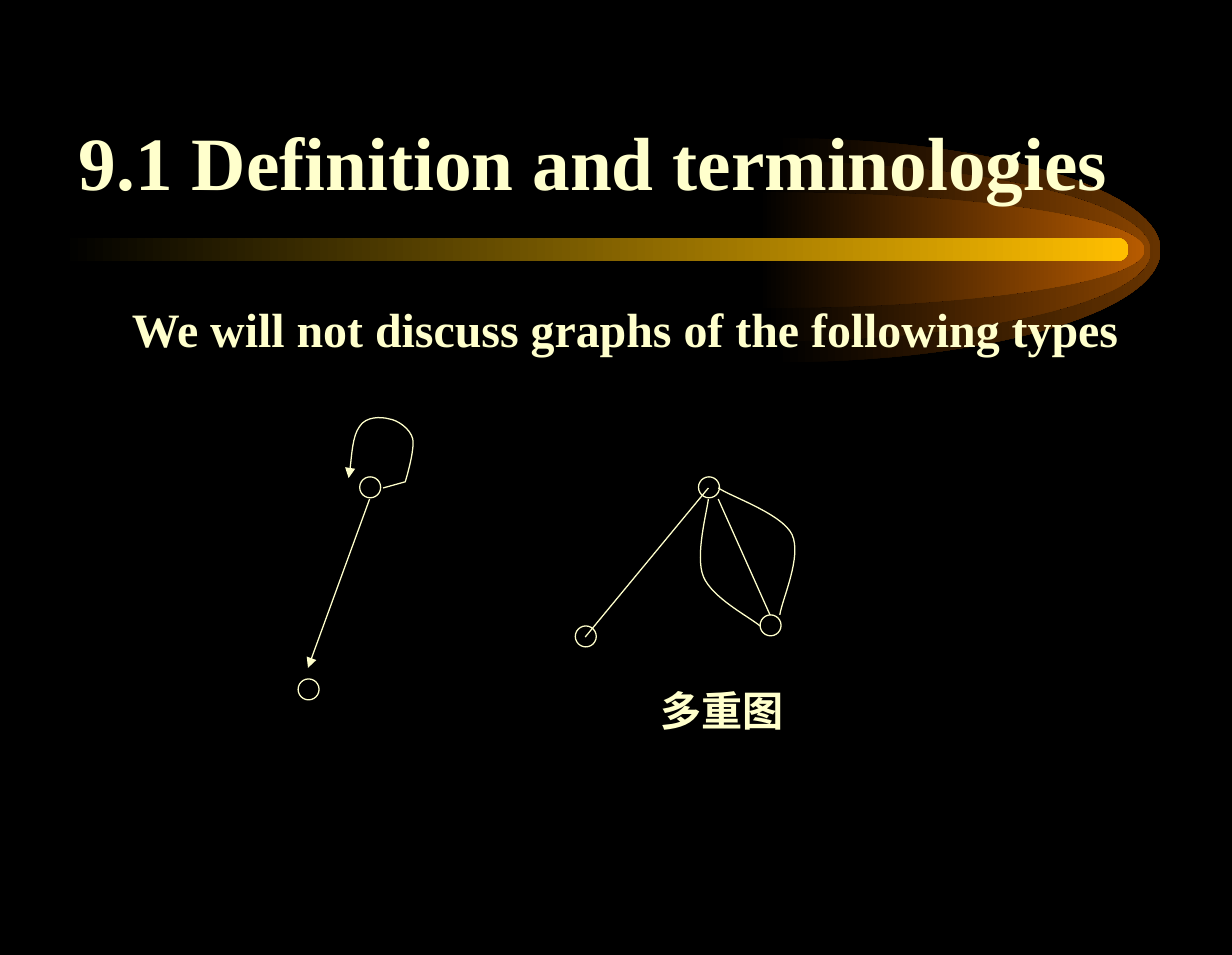
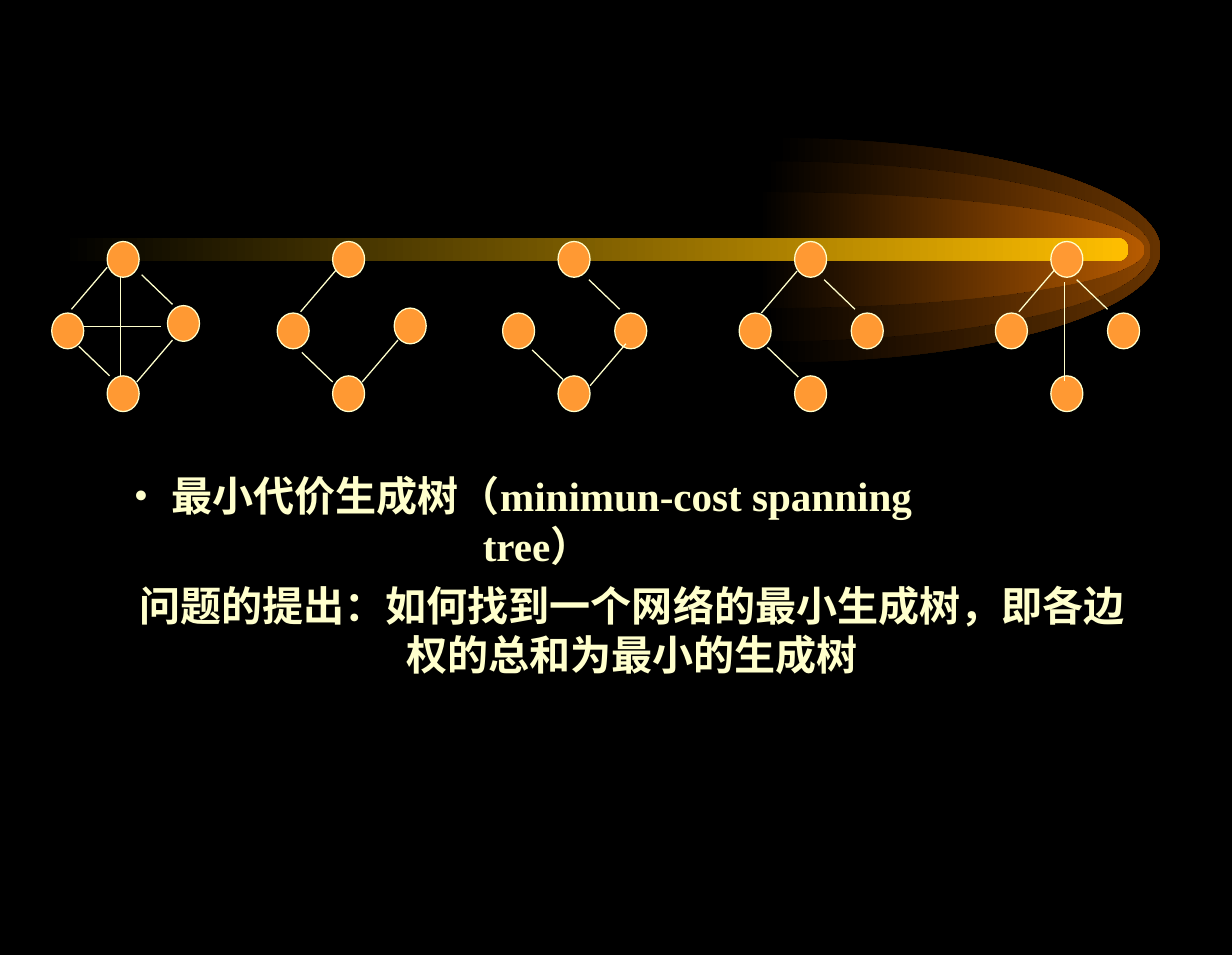
from lxml import etree
from pptx import Presentation
from pptx.dml.color import RGBColor
from pptx.enum.shapes import MSO_CONNECTOR, MSO_SHAPE
from pptx.enum.text import MSO_ANCHOR, MSO_AUTO_SIZE, PP_ALIGN
from pptx.oxml.ns import qn
from pptx.util import Inches, Pt

BLACK = RGBColor(0x00, 0x00, 0x00)
CREAM = RGBColor(0xFF, 0xFF, 0xCC)
ORANGE = RGBColor(0xFF, 0x99, 0x33)
GOLD = RGBColor(0xFF, 0xBF, 0x00)
FONT = "Times New Roman"

# Comet tails, outermost first: left, centre y, half height, colour at the tip
TAIL_LENGTH = 3.13
ARC_RATIO = 0.55  # control distance of a quarter ellipse
TAILS = [
    (6.29, 2.03, 0.91, RGBColor(0x66, 0x33, 0x00)),
    (6.21, 2.04, 0.73, RGBColor(0x89, 0x44, 0x00)),
    (6.16, 2.03, 0.47, RGBColor(0xB7, 0x5B, 0x00)),
]
BEAM = (0.5, 1.93, 8.66, 0.19)

TITLE = "9.1 Definition and terminologies"
STATEMENT = "We will not discuss graphs of the following types"
MULTIGRAPH_LABEL = "多重图"
SPANNING_TREE = " 最小代价生成树（minimun-cost spanning tree）"
PROBLEM = ["问题的提出：如何找到一个网络的最小生成树，即各边", "权的总和为最小的生成树"]

# Curves are a start point followed by cubic segments (two controls and an end)
VERTEX_SIZE = (0.17, 0.17)
LOOP_GRAPH = {
    "vertices": [(2.42, 5.51), (2.92, 3.87)],
    "edges": [((3, 4.05), (2.5, 5.42))],
    "curves": [
        [(3.11, 3.96),
         (3.11, 3.96), (3.29, 3.91), (3.29, 3.91),
         (3.29, 3.91), (3.37, 3.65), (3.35, 3.56),
         (3.33, 3.48), (3.23, 3.41), (3.16, 3.4),
         (3.09, 3.38), (2.97, 3.38), (2.92, 3.46),
         (2.86, 3.54), (2.85, 3.79), (2.83, 3.88)],
    ],
    "directed": True,
}
MULTIGRAPH = {
    "vertices": [(4.67, 5.08), (6.17, 4.99), (5.67, 3.87)],
    "edges": [((5.75, 3.96), (4.75, 5.17)), ((5.83, 4.05), (6.25, 4.99))],
    "curves": [
        [(5.75, 4.05),
         (5.74, 4.15), (5.64, 4.51), (5.71, 4.68),
         (5.78, 4.85), (6.07, 5), (6.17, 5.08)],
        [(5.83, 3.96),
         (5.93, 4.03), (6.35, 4.17), (6.43, 4.34),
         (6.51, 4.52), (6.35, 4.86), (6.33, 4.99)],
    ],
    "directed": False,
}

# Four-node graphs: x is relative to the graph's left side
NODE_SIZE = (0.26, 0.29)
WEST, NORTH, SOUTH = (0, 2.54), (0.45, 1.96), (0.45, 3.05)
EDGE_VECTORS = {
    "west-north": (0.29, -0.34),
    "west-south": (0.25, 0.24),
    "north-east": (0.25, 0.24),
    "south-east": (0.29, -0.34),
    "north-south": (0, 0.8),
    "west-east": (0.63, 0),
}
# Left side, east node, start of each edge
FOUR_NODE_GRAPHS = [
    (0.42, (0.94, 2.48), {
        "north-south": (0.56, 2.25), "west-east": (0.26, 2.65),
        "west-north": (0.16, 2.51), "west-south": (0.22, 2.81),
        "south-east": (0.69, 3.1), "north-east": (0.73, 2.23)}),
    (2.25, (0.95, 2.5), {
        "west-north": (0.19, 2.53), "south-east": (0.69, 3.1),
        "west-south": (0.2, 2.86)}),
    (4.08, (0.91, 2.54), {
        "west-south": (0.24, 2.84), "north-east": (0.7, 2.27),
        "south-east": (0.71, 3.13)}),
    (6, (0.91, 2.54), {
        "west-south": (0.23, 2.82), "north-east": (0.69, 2.27),
        "west-north": (0.18, 2.54)}),
    (8.08, (0.91, 2.54), {
        "north-east": (0.66, 2.27), "west-north": (0.19, 2.53),
        "north-south": (0.56, 2.29)}),
]


def inches(values):
    return [Inches(value) for value in values]


def place(shape, *box):
    shape.left, shape.top, shape.width, shape.height = inches(box)


def style_outline(shape, arrow=False):
    shape.line.color.rgb = CREAM
    shape.line.width = Pt(0.75)
    if arrow:
        line = shape.element.spPr.find(qn("a:ln"))
        etree.SubElement(line, qn("a:tailEnd"), type="triangle")


def add_node(shapes, corner, size, color=None):
    node = shapes.add_shape(MSO_SHAPE.OVAL, *inches((*corner, *size)))
    node.shadow.inherit = False
    if color is None:
        node.fill.background()
    else:
        node.fill.solid()
        node.fill.fore_color.rgb = color
    style_outline(node)


def add_edge(shapes, start, end, arrow=False):
    edge = shapes.add_connector(MSO_CONNECTOR.STRAIGHT, *inches((*start, *end)))
    style_outline(edge, arrow)
    etree.SubElement(edge.element.spPr, qn("a:effectLst"))


def add_curved_outline(shapes, points, close=False):
    """Turn each three points after the start into a cubic; a leftover point stays a line."""
    start, *rest = [inches(point) for point in points]
    builder = shapes.build_freeform(*start)
    builder.add_line_segments(rest, close=close)
    outline = builder.convert_to_shape()
    outline.shadow.inherit = False

    lines = list(outline.element.iter(qn("a:lnTo")))
    for i in range(0, len(lines) - 2, 3):
        first, *others = lines[i:i + 3]
        first.tag = qn("a:cubicBezTo")
        for line in others:
            first.append(line[0])
            line.getparent().remove(line)
    return outline


def add_curve(shapes, curve, arrow):
    outline = add_curved_outline(shapes, curve)
    outline.fill.background()
    style_outline(outline, arrow)


def fill_from_black(shape, color):
    shape.fill.gradient()
    shape.fill.gradient_angle = 0
    for stop, stop_color in zip(shape.fill.gradient_stops, (BLACK, color)):
        stop.color.rgb = stop_color
    shape.line.fill.background()


def add_tail(shapes, left, middle, half_height, color):
    upper = [(0, -1), (ARC_RATIO, -1), (1, -ARC_RATIO), (1, 0)]
    lower = [(x, -y) for x, y in reversed(upper[:-1])]
    points = [(left + TAIL_LENGTH * x, middle + half_height * y)
              for x, y in [*upper, *lower, (0, 0)]]
    fill_from_black(add_curved_outline(shapes, points, close=True), color)


def set_master(prs, slide):
    """Draw the comet on a slide, then move it behind everything on the master."""
    master = prs.slide_master
    master.background.fill.solid()
    master.background.fill.fore_color.rgb = BLACK

    comet = slide.shapes.add_group_shape()
    for tail in TAILS:
        add_tail(comet.shapes, *tail)
    beam = comet.shapes.add_shape(MSO_SHAPE.ROUNDED_RECTANGLE, *inches(BEAM))
    beam.adjustments[0] = 0.5
    beam.shadow.inherit = False
    fill_from_black(beam, GOLD)

    for number, properties in enumerate(comet.element.iter(qn("p:cNvPr")), start=101):
        properties.set("id", str(number))
    master.shapes.element.insert(2, comet.element)


def set_text(shape, lines, size, align=PP_ALIGN.LEFT, anchor=MSO_ANCHOR.TOP, wrap=True):
    frame = shape.text_frame
    frame.text = "\n".join(lines)
    frame.word_wrap = wrap
    frame.auto_size = MSO_AUTO_SIZE.NONE
    frame.vertical_anchor = anchor
    for paragraph in frame.paragraphs:
        paragraph.alignment = align
        paragraph.space_before = Pt(0)
        for run in paragraph.runs:
            run.font.name = FONT
            run.font.size = Pt(size)
            run.font.bold = True
            run.font.color.rgb = CREAM
    return frame


def set_bullet(paragraph, indent, character=None):
    properties = paragraph._p.get_or_add_pPr()
    properties.set("marL", str(Inches(indent)))
    if character:
        properties.set("indent", str(-Inches(indent)))
        color = etree.SubElement(properties, qn("a:buClr"))
        etree.SubElement(color, qn("a:srgbClr"), val=str(CREAM))
        etree.SubElement(properties, qn("a:buFont"), typeface=FONT)
        etree.SubElement(properties, qn("a:buChar"), char=character)
    else:
        properties.set("indent", "0")
        etree.SubElement(properties, qn("a:buNone"))


def add_graph(slide, graph):
    shapes = slide.shapes.add_group_shape().shapes
    for corner in graph["vertices"]:
        add_node(shapes, corner, VERTEX_SIZE)
    for start, end in graph["edges"]:
        add_edge(shapes, start, end, graph["directed"])
    for curve in graph["curves"]:
        add_curve(shapes, curve, graph["directed"])
    return shapes


def add_four_node_graph(slide, left, east, edges):
    shapes = slide.shapes.add_group_shape().shapes
    for x, y in (WEST, NORTH, east, SOUTH):
        add_node(shapes, (left + x, y), NODE_SIZE, ORANGE)
    for name, (x, y) in edges.items():
        dx, dy = EDGE_VECTORS[name]
        add_edge(shapes, (left + x, y), (left + x + dx, y + dy))


def fill_definition_slide(slide):
    title, body = slide.placeholders
    place(title, 0.39, 0.43, 8.86, 1.29)
    set_text(title, [TITLE], 44, PP_ALIGN.CENTER, MSO_ANCHOR.BOTTOM)
    place(body, 0.75, 2.33, 8.5, 4.65)
    statement = set_text(body, [STATEMENT], 28)
    statement.margin_top = Inches(0.1)
    set_bullet(statement.paragraphs[0], 0.22)

    add_graph(slide, LOOP_GRAPH)
    multigraph = add_graph(slide, MULTIGRAPH)
    label = multigraph.add_textbox(*inches((5.26, 5.51, 1.2, 0.5)))
    set_text(label, [MULTIGRAPH_LABEL], 24, wrap=False)


def fill_spanning_tree_slide(slide):
    for graph in FOUR_NODE_GRAPHS:
        add_four_node_graph(slide, *graph)

    term_box = slide.shapes.add_textbox(*inches((0.48, 3.97, 7.53, 0.5)))
    term = set_text(term_box, [SPANNING_TREE], 24, PP_ALIGN.CENTER, MSO_ANCHOR.MIDDLE)
    term.margin_left = term.margin_right = Inches(0.2)
    set_bullet(term.paragraphs[0], 0.23, "•")

    problem_box = slide.shapes.add_textbox(*inches((1.03, 4.66, 8.2, 0.9)))
    set_text(problem_box, PROBLEM, 24, PP_ALIGN.CENTER, MSO_ANCHOR.MIDDLE, wrap=False)


def main():
    prs = Presentation()
    prs.slide_width, prs.slide_height = Inches(10), Inches(7.75)
    definition = prs.slides.add_slide(prs.slide_layouts[1])
    spanning_tree = prs.slides.add_slide(prs.slide_layouts[6])
    set_master(prs, definition)
    fill_definition_slide(definition)
    fill_spanning_tree_slide(spanning_tree)
    prs.save("out.pptx")


if __name__ == "__main__":
    main()
